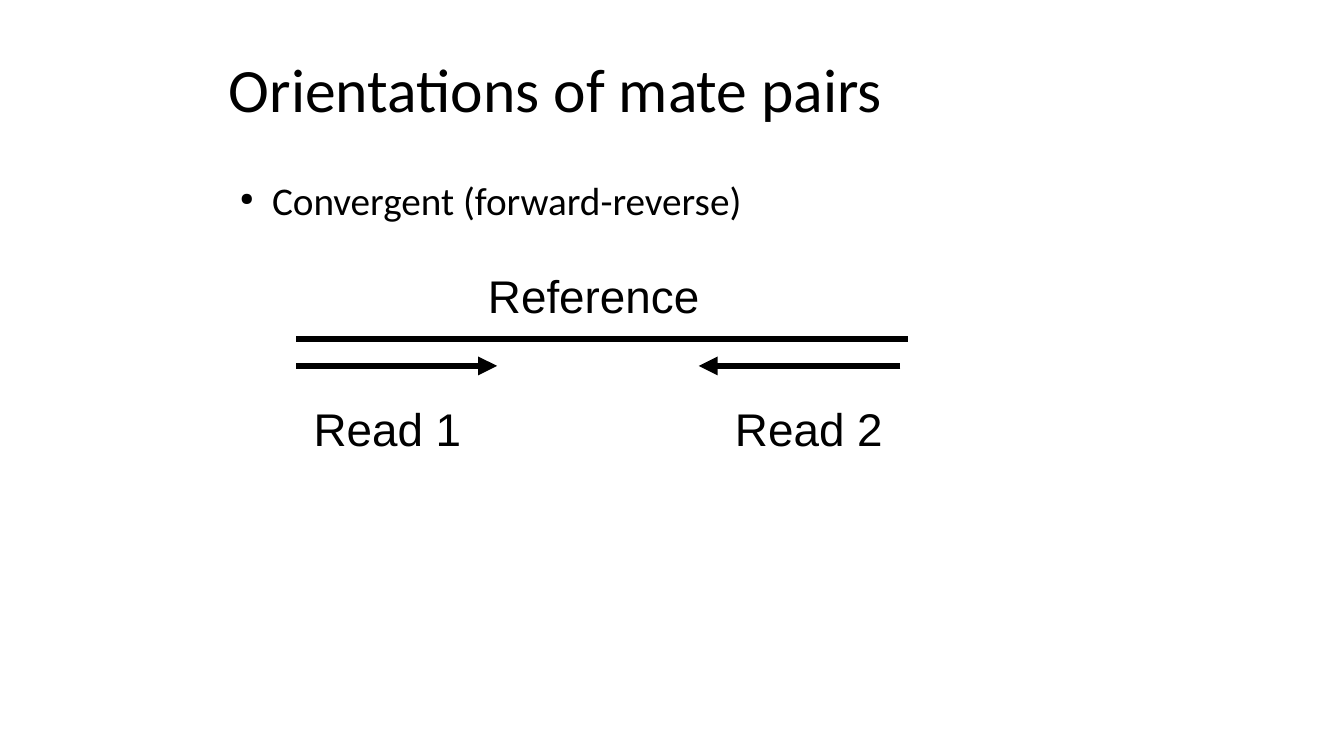
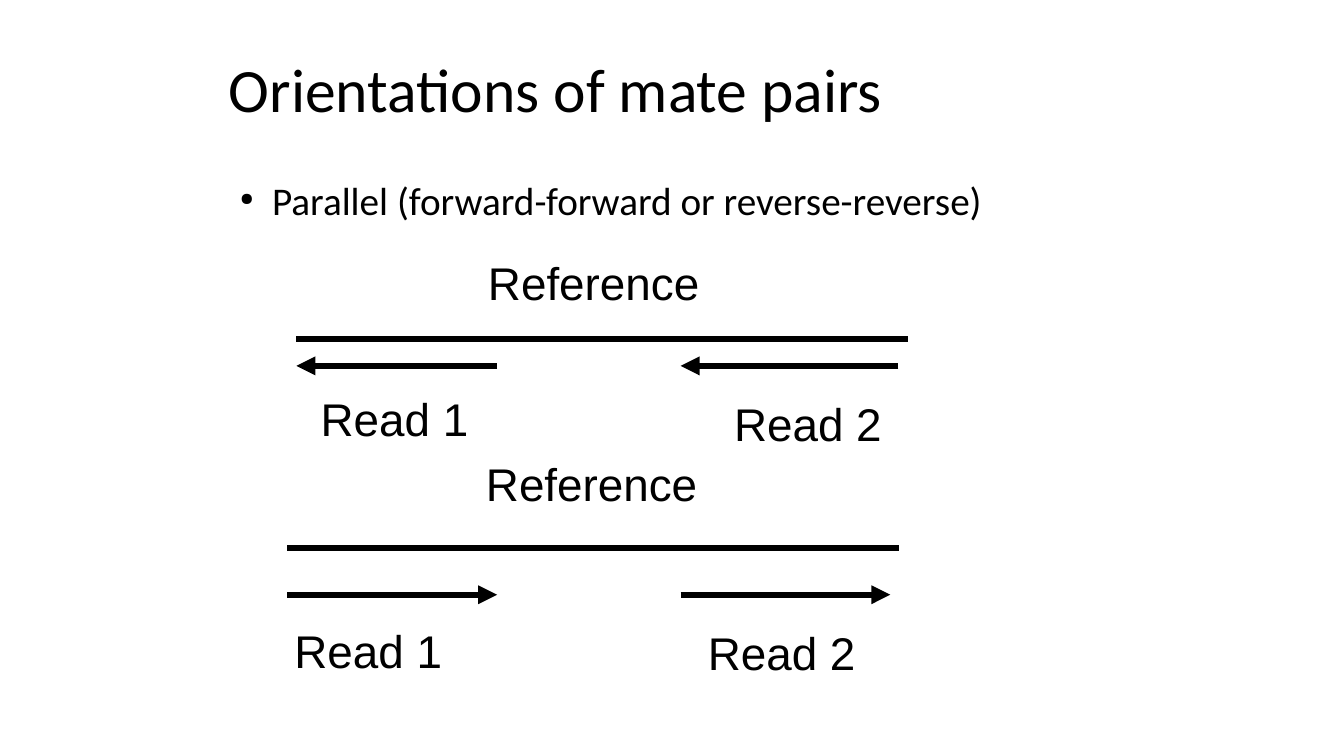
"""Build two slides on the orientations of mate pairs."""
from lxml.etree import SubElement
from pptx import Presentation
from pptx.dml.color import RGBColor
from pptx.enum.shapes import MSO_CONNECTOR
from pptx.enum.text import MSO_ANCHOR, MSO_AUTO_SIZE, PP_ALIGN
from pptx.oxml.ns import qn
from pptx.util import Inches, Pt

TITLE = "Orientations of mate pairs"
SLIDES = [
    {
        "bullet": "Convergent (forward-reverse)",
        "diagrams": [
            {
                "reference": (2.94, 9.01, 3.36),
                "reads": [(2.94, 4.93, 3.63), (8.93, 6.93, 3.63)],
                "labels": [("Reference", 4.75, 2.58), ("Read 1", 3.02, 3.9), ("Read 2", 7.2, 3.9)],
            },
        ],
    },
    {
        "bullet": "Parallel (forward-forward or reverse-reverse)",
        "diagrams": [
            {
                "reference": (2.94, 9.01, 3.36),
                "reads": [(4.93, 2.94, 3.63), (8.91, 6.75, 3.63)],
                "labels": [("Reference", 4.75, 2.45), ("Read 1", 3.09, 3.8), ("Read 2", 7.19, 3.85)],
            },
            {
                "reference": (2.85, 8.92, 5.44),
                "reads": [(2.85, 4.93, 5.9), (6.75, 8.83, 5.9)],
                "labels": [("Reference", 4.73, 4.44), ("Read 1", 2.83, 6.1), ("Read 2", 6.93, 6.12)],
            },
        ],
    },
]

COLORS = {"ink": "000000", "background": "FFFFFF"}
FONTS = {
    "title": {"name": "Calibri", "size": Pt(44)},
    "bullet": {"name": "Calibri", "size": Pt(28)},
    "label": {"name": "Arial", "size": Pt(32.7)},
}
PARAGRAPHS = {
    "title": {"alignment": PP_ALIGN.LEFT, "line_spacing": 0.9},
    "bullet": {"line_spacing": 0.9, "space_before": Pt(10)},
    "label": {},
}
FRAMES = {
    "title": {"word_wrap": True, "vertical_anchor": MSO_ANCHOR.MIDDLE},
    "bullet": {"word_wrap": True, "vertical_anchor": MSO_ANCHOR.TOP},
    "label": {"word_wrap": False, "vertical_anchor": MSO_ANCHOR.TOP},
}
INSETS = {
    "title": (0.1, 0.04, 0.1, 0.05),
    "bullet": (0.1, 0.05, 0.1, 0.05),
    "label": (0.09, 0.08, 0.09, 0.04),
}
LABEL_WIDTHS = {"Reference": 2.27, "Read 1": 1.64, "Read 2": 1.64}
LABEL_HEIGHT = 0.6
COLUMN_LEFT, COLUMN_WIDTH = 2.17, 9
LINE_WIDTH = Pt(4.5)


def set_values(target, values):
    """Set each named attribute of the target."""
    for name, value in values.items():
        setattr(target, name, value)


def write_text(box, text, style):
    """Fill a box with one paragraph in the named style."""
    frame = box.text_frame
    sides = ("margin_left", "margin_top", "margin_right", "margin_bottom")
    set_values(frame, {"auto_size": MSO_AUTO_SIZE.NONE, **FRAMES[style]})
    set_values(frame, dict(zip(sides, map(Inches, INSETS[style]))))
    para = frame.paragraphs[0]
    set_values(para, PARAGRAPHS[style])
    span = para.add_run()
    span.text = text
    set_values(span.font, FONTS[style])
    span.font.color.rgb = RGBColor.from_string(COLORS["ink"])
    return para


def add_text(page, text, style, *place):
    """Add a text box at left, top, width and height."""
    return write_text(page.shapes.add_textbox(*map(Inches, place)), text, style)


def add_bullet(page, text):
    """Add the bulleted line under the title."""
    para = add_text(page, text, "bullet", COLUMN_LEFT, 1.75, COLUMN_WIDTH, 0.6)
    properties = para._p.get_or_add_pPr()
    properties.set("marL", str(Inches(0.43)))
    properties.set("indent", str(Inches(-0.32)))
    SubElement(properties, qn("a:buSzPct")).set("val", "45000")
    SubElement(properties, qn("a:buChar")).set("char", "●")


def add_line(page, start, end, height, arrow=False):
    """Add a level line, with an arrowhead at its end on request."""
    ends = map(Inches, (start, height, end, height))
    line = page.shapes.add_connector(MSO_CONNECTOR.STRAIGHT, *ends)
    line.line.color.rgb = RGBColor.from_string(COLORS["ink"])
    line.line.width = LINE_WIDTH
    properties = line._element.spPr
    if arrow:
        SubElement(properties.find(qn("a:ln")), qn("a:tailEnd")).set("type", "triangle")
    SubElement(properties, qn("a:effectLst"))


def add_diagram(page, diagram):
    """Draw a reference, its reads and their labels."""
    add_line(page, *diagram["reference"])
    for read in diagram["reads"]:
        add_line(page, *read, arrow=True)
    for text, left, top in diagram["labels"]:
        add_text(page, text, "label", left, top, LABEL_WIDTHS[text], LABEL_HEIGHT)


def add_page(deck, content):
    """Add a slide with its title, bullet and diagrams."""
    page = deck.slides.add_slide(deck.slide_layouts[5])
    title_place = map(Inches, (COLUMN_LEFT, 0.3, COLUMN_WIDTH, 1.25))
    set_values(page.shapes.title, dict(zip(("left", "top", "width", "height"), title_place)))
    write_text(page.shapes.title, TITLE, "title")
    add_bullet(page, content["bullet"])
    for diagram in content["diagrams"]:
        add_diagram(page, diagram)


def main():
    """Build and save the deck."""
    deck = Presentation()
    set_values(deck, {"slide_width": Inches(13.33), "slide_height": Inches(7.5)})
    background = deck.slide_master.background.fill
    background.solid()
    background.fore_color.rgb = RGBColor.from_string(COLORS["background"])
    for content in SLIDES:
        add_page(deck, content)
    deck.save("out.pptx")


if __name__ == "__main__":
    main()
